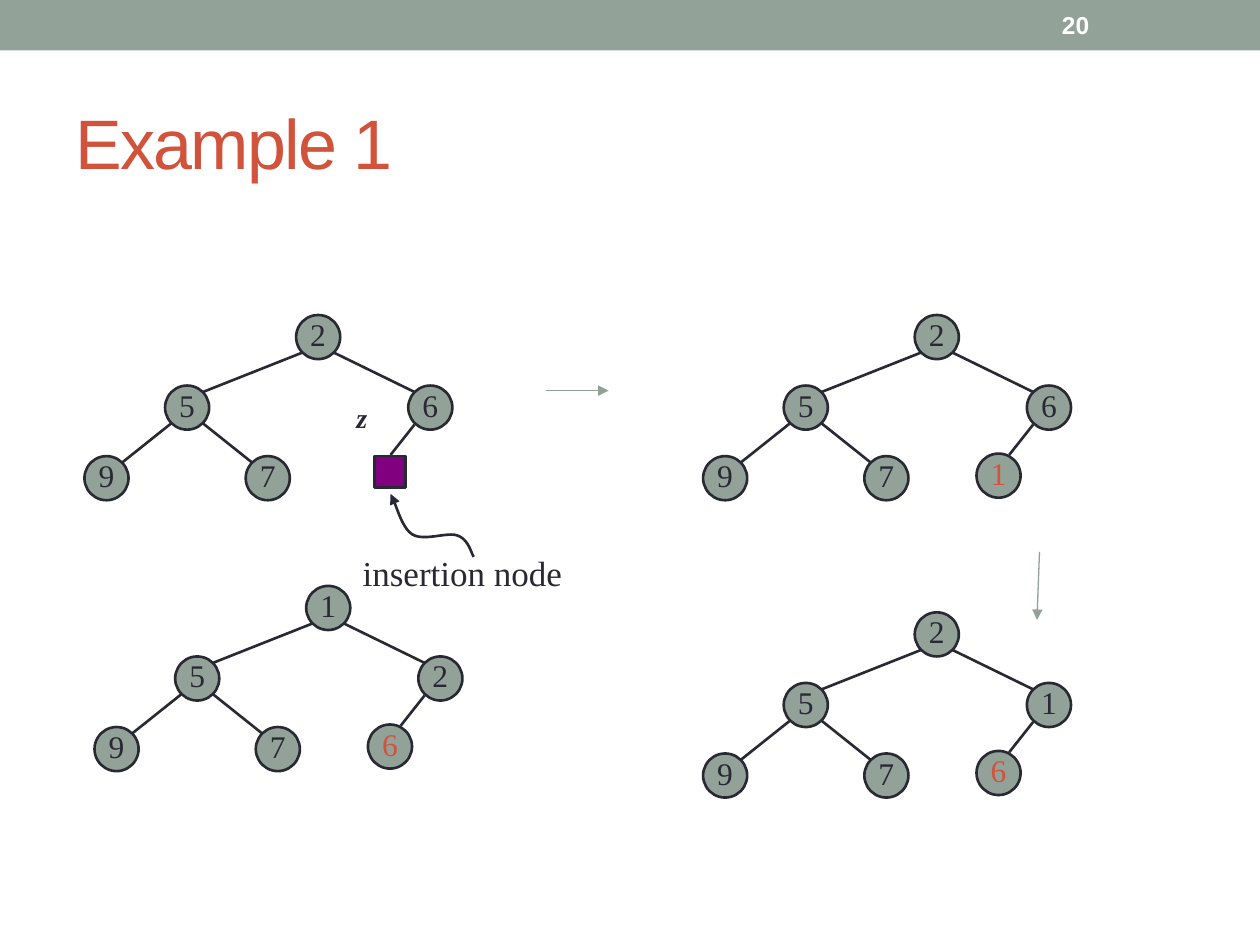
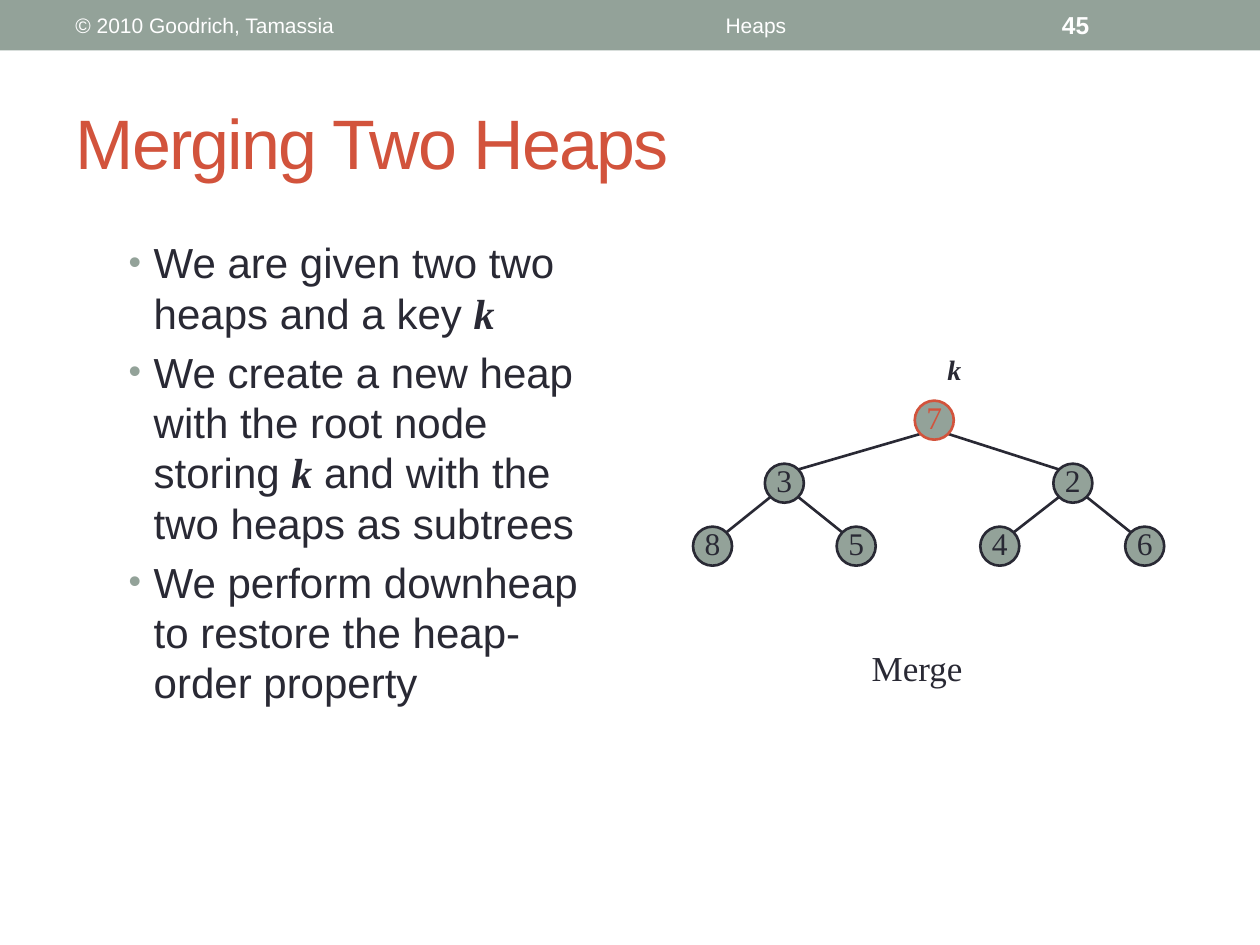
from lxml.etree import SubElement
from pptx import Presentation
from pptx.dml.color import RGBColor
from pptx.enum.shapes import MSO_CONNECTOR, MSO_SHAPE
from pptx.enum.text import MSO_ANCHOR, MSO_AUTO_SIZE, PP_ALIGN
from pptx.oxml.ns import qn
from pptx.util import Inches, Pt

SAGE, INK, RED, PURPLE, WHITE = "93A299", "292934", "D2533C", "800080", "FFFFFF"
SANS, SERIF = "Arial", "Times New Roman"
TITLE_ONLY, TITLE_AND_BODY = 5, 1

HEAP_NODES = [(0, 0), (-1.04, 0.56), (0.89, 0.56), (-1.68, 1.12), (-0.4, 1.12)]
HEAP_EDGES = [(0, 1), (0, 2), (1, 3), (1, 4)]
MERGED_NODES = [(0, 0), (-1.19, 0.5), (1.1, 0.5), (-1.76, 1), (-0.62, 1), (0.52, 1), (1.67, 1)]
MERGED_EDGES = HEAP_EDGES + [(2, 5), (2, 6)]


def color(hex_code):
    return RGBColor.from_string(hex_code)


def style(r, size, font=SANS, c=INK, bold=False, italic=False):
    r.font.size, r.font.name = Pt(size), font
    r.font.bold, r.font.italic = bold, italic
    r.font.color.rgb = color(c)


def place(shape, left, top, width, height):
    shape.left, shape.top = Inches(left), Inches(top)
    shape.width, shape.height = Inches(width), Inches(height)


def add_text(s, text, box, size, font=SANS, c=INK, bold=False, italic=False,
             align=PP_ALIGN.LEFT, anchor=MSO_ANCHOR.TOP, wrap=False):
    tf = s.shapes.add_textbox(*map(Inches, box)).text_frame
    tf.word_wrap, tf.vertical_anchor = wrap, anchor
    p = tf.paragraphs[0]
    p.text, p.alignment = text, align
    style(p.runs[0], size, font, c, bold, italic)


def add_band_text(s, text, left, width, size=12, bold=False, align=PP_ALIGN.LEFT):
    add_text(s, text, (left, 0.02, width, 0.36), size, c=WHITE, bold=bold,
             align=align, anchor=MSO_ANCHOR.MIDDLE, wrap=True)


def add_figure(s, kind, box, fill, line=None):
    sp = s.shapes.add_shape(kind, *map(Inches, box))
    sp.shadow.inherit = False
    sp.fill.solid()
    sp.fill.fore_color.rgb = color(fill)
    if line:
        sp.line.color.rgb, sp.line.width = color(line), Pt(1.5)
    else:
        sp.line.fill.background()
    return sp


def add_arrowhead(shape):
    SubElement(shape.line._get_or_add_ln(), qn("a:tailEnd"), type="triangle")


def add_line(s, start, end, c=INK, width=1.5, arrow=False):
    cx = s.shapes.add_connector(MSO_CONNECTOR.STRAIGHT, *map(Inches, (*start, *end)))
    cx.line.color.rgb, cx.line.width = color(c), Pt(width)
    if arrow:
        add_arrowhead(cx)
    SubElement(cx._element.spPr, qn("a:effectLst"))


def add_node(s, key, x, y, size, c=INK, line=INK):
    sp = add_figure(s, MSO_SHAPE.OVAL, (x, y, size, size), SAGE, line)
    tf = sp.text_frame
    tf.margin_left = tf.margin_top = tf.margin_right = 0
    tf.margin_bottom = Inches(0.05)
    tf.word_wrap, tf.vertical_anchor = False, MSO_ANCHOR.MIDDLE
    p = tf.paragraphs[0]
    p.text, p.alignment = key, PP_ALIGN.CENTER
    style(p.runs[0], 18, SERIF, c)


def add_tree(s, x, y, keys, nodes, edges, size, root_color=INK):
    near, far = 0.15 * size, 0.85 * size
    spots = [(x + dx, y + dy) for dx, dy in nodes]
    for parent, child in edges:
        (px, py), (cx, cy) = spots[parent], spots[child]
        out, into = (near, far) if cx < px else (far, near)
        add_line(s, (px + out, py + far), (cx + into, cy + near))
    for i, (key, spot) in enumerate(zip(keys, spots)):
        c = root_color if i == 0 else INK
        add_node(s, key, *spot, size, c, c)


def add_heap(s, x, y, keys, last=None):
    """Draw a five-key heap whose last place holds a key or the empty insertion node."""
    add_tree(s, x, y, keys, HEAP_NODES, HEAP_EDGES, 0.35)
    add_line(s, (x + 0.94, y + 0.87), (x + 0.75, y + 1.11))
    if last:
        add_node(s, last, x + 0.49, y + 1.1, 0.35, RED)
    else:
        add_figure(s, MSO_SHAPE.RECTANGLE, (x + 0.62, y + 1.12, 0.25, 0.25), PURPLE, INK)


def curve_points(start, curves, steps=12):
    """Return points along joined cubic curves, in EMU."""
    points, p0 = [], start
    for p1, p2, p3 in curves:
        for t in (i / steps for i in range(1, steps + 1)):
            weights = ((1 - t) ** 3, 3 * t * (1 - t) ** 2, 3 * t ** 2 * (1 - t), t ** 3)
            points.append(tuple(Inches(sum(w * p[axis] for w, p in zip(weights, (p0, p1, p2, p3))))
                                for axis in (0, 1)))
        p0 = p3
    return points


def add_curved_arrow(s, start, curves):
    builder = s.shapes.build_freeform(*map(Inches, start))
    builder.add_line_segments(curve_points(start, curves), close=False)
    sp = builder.convert_to_shape()
    sp.shadow.inherit = False
    sp.fill.background()
    sp.line.color.rgb, sp.line.width = color(INK), Pt(1.5)
    add_arrowhead(sp)


def add_bullets(body, items):
    """Fill the body; text between asterisks is set as a variable."""
    place(body, 0.92, 1.83, 4, 4.5)
    tf = body.text_frame
    tf.auto_size = MSO_AUTO_SIZE.NONE
    for i, item in enumerate(items):
        p = tf.paragraphs[0] if i == 0 else tf.add_paragraph()
        pPr = p._p.get_or_add_pPr()
        pPr.set("marL", str(Inches(0.2)))
        pPr.set("indent", str(-Inches(0.2)))
        SubElement(SubElement(pPr, qn("a:buClr")), qn("a:srgbClr"), val=SAGE)
        SubElement(pPr, qn("a:buSzPct"), val="85000")
        SubElement(pPr, qn("a:buFont"), typeface=SANS)
        SubElement(pPr, qn("a:buChar"), char="•")
        p.space_before = Pt(4.8 if i else 0)
        for j, part in enumerate(item.split("*")):
            if part:
                r = p.add_run()
                r.text = part
                variable = j % 2 == 1
                style(r, 24, SERIF if variable else SANS, bold=variable, italic=variable)


def add_slide(prs, layout, title, number):
    s = prs.slides.add_slide(prs.slide_layouts[layout])
    add_figure(s, MSO_SHAPE.RECTANGLE, (0, 0, 10, 0.4), SAGE)
    add_band_text(s, number, 8.33, 1.17, 14, True)
    place(s.shapes.title, 0.5, 0.58, 9, 1.08)
    tf = s.shapes.title.text_frame
    tf.text = title
    tf.auto_size, tf.vertical_anchor = MSO_AUTO_SIZE.NONE, MSO_ANCHOR.MIDDLE
    p = tf.paragraphs[0]
    p.alignment = PP_ALIGN.LEFT
    style(p.runs[0], 40, c=RED)
    p.runs[0]._r.get_or_add_rPr().set("spc", "-100")
    return s


def build_example(prs):
    s = add_slide(prs, TITLE_ONLY, "Example 1", "20")
    add_heap(s, 2.35, 2.5, "25697")
    add_heap(s, 7.26, 2.5, "25697", "1")
    add_heap(s, 7.26, 4.86, "25197", "6")
    add_heap(s, 2.43, 4.65, "15297", "6")
    add_line(s, (4.33, 3.1), (4.83, 3.1), SAGE, 0.75, True)
    add_line(s, (8.25, 4.38), (8.23, 4.92), SAGE, 0.75, True)
    add_curved_arrow(s, (3.76, 4.42), [
        ((3.74, 4.39), (3.72, 4.28), (3.63, 4.25)),
        ((3.55, 4.22), (3.36, 4.3), (3.27, 4.24)),
        ((3.18, 4.18), (3.14, 3.98), (3.1, 3.92))])
    add_text(s, "insertion node", (2.78, 4.33, 1.94, 0.43), 20, SERIF)
    add_text(s, "z", (2.73, 3.13, 0.33, 0.5), 16, SERIF, bold=True, italic=True)


def build_merging(prs):
    s = add_slide(prs, TITLE_AND_BODY, "Merging Two Heaps", "45")
    add_band_text(s, "© 2010 Goodrich, Tamassia", 0.5, 3.17)
    add_band_text(s, "Heaps", 3.75, 4.5, align=PP_ALIGN.CENTER)
    add_bullets(s.placeholders[1], [
        "We are given two two heaps and a key *k*",
        "We create a new heap with the root node storing *k* and with the two heaps as subtrees",
        "We perform downheap to restore the heap-order property"])
    add_tree(s, 7.26, 3.18, "7328546", MERGED_NODES, MERGED_EDGES, 0.31, RED)
    add_text(s, "k", (7.42, 2.75, 0.33, 0.37), 16, SERIF, bold=True, italic=True)
    add_text(s, "Merge", (6.82, 5.08, 0.93, 0.44), 20, SERIF)


def main():
    prs = Presentation()
    prs.slide_width, prs.slide_height = Inches(10), Inches(7.5)
    build_example(prs)
    build_merging(prs)
    prs.save("out.pptx")


if __name__ == "__main__":
    main()
